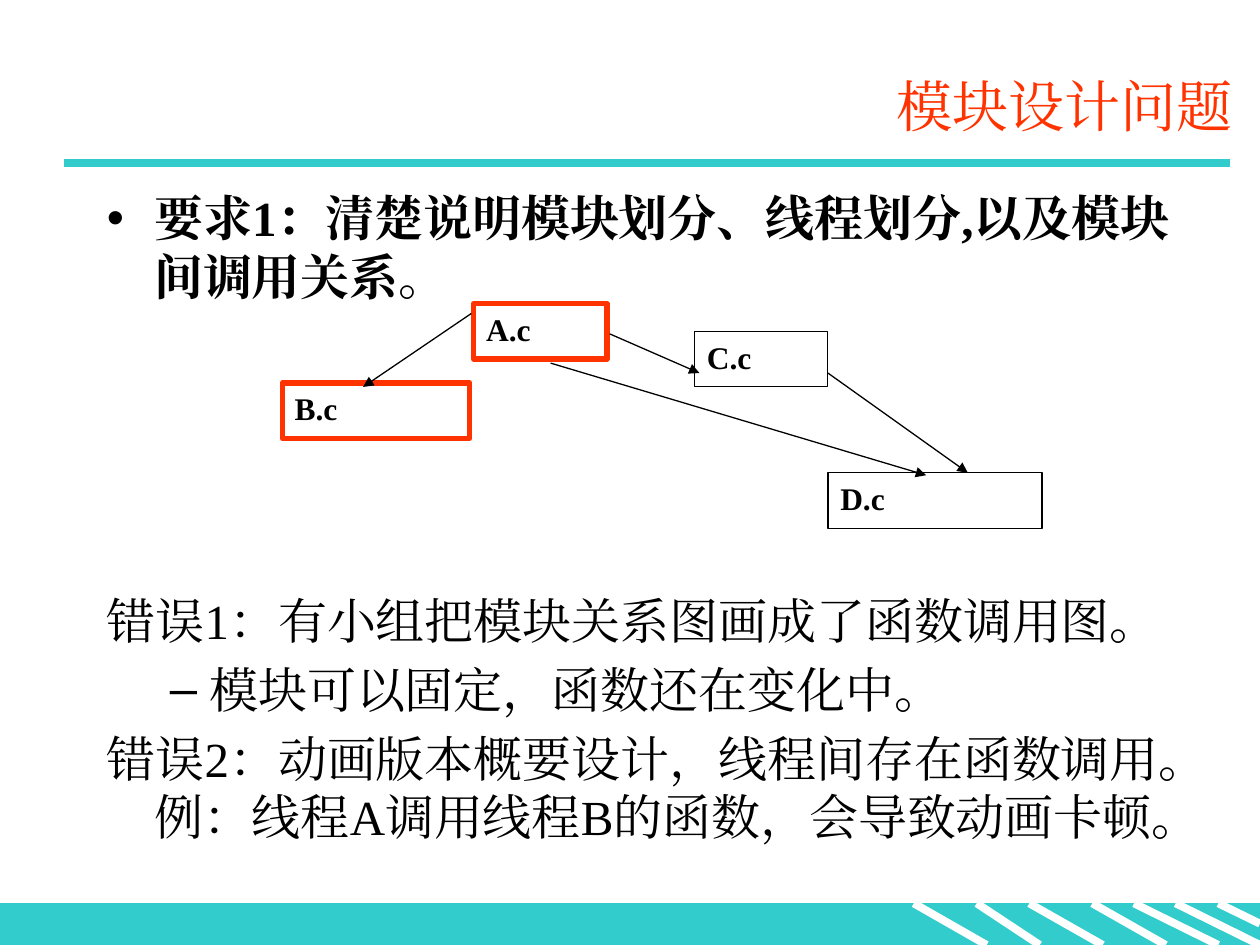
from lxml.etree import SubElement
from pptx import Presentation
from pptx.dml.color import RGBColor
from pptx.enum.shapes import MSO_CONNECTOR, MSO_SHAPE
from pptx.enum.text import MSO_ANCHOR, MSO_AUTO_SIZE, PP_ALIGN
from pptx.oxml.ns import qn
from pptx.util import Cm, Pt

FONT = "Times New Roman"
COLORS = {"teal": "33CCCC", "red": "FF3300", "black": "000000", "white": "FFFFFF"}

# Module boxes: label, left, top, width, outline colour, outline points, filled
MODULES = [
    ("A.c", 9.55, 6.12, 2.69, "red", 3, False),
    ("C.c", 14, 6.68, 2.69, "black", 0.75, True),
    ("D.c", 16.69, 9.53, 4.32, "black", 0.75, True),
    ("B.c", 5.69, 7.72, 3.78, "red", 3, False),
]
CALLS = [
    (9.5, 6.32, 7.32, 7.8),      # A to B
    (12.29, 6.73, 14.1, 7.52),   # A to C
    (16.69, 7.52, 19.51, 9.53),  # C to D
    (11.1, 7.32, 18.67, 9.58),   # A to D
]
FOOTER_TOP, FOOTER_BOTTOM = 18.21, 19.05
# Footer stripes: start x, end x, end y
STRIPES = [
    (18.42, 19.89, FOOTER_BOTTOM),
    (19.69, 20.96, FOOTER_BOTTOM),
    (20.75, 22.23, FOOTER_BOTTOM),
    (22.02, 23.5, FOOTER_BOTTOM),
    (22.86, 24.56, FOOTER_BOTTOM),
    (23.7, 25.4, FOOTER_BOTTOM),
    (24.56, 25.4, 18.62),
]
# Body paragraphs: level, bulleted, points before, runs of (text, bold)
BODY = [
    (0, True, 5.6, [("要求1：清楚说明模块划分、线程划分,以及模块间调用关系", True), ("。", False)]),
    (0, False, 163, [("错误1：有小组把模块关系图画成了函数调用图。", False)]),
    (1, True, 5.6, [("模块可以固定，函数还在变化中。", False)]),
    (0, False, 5.6, [("错误2：动画版本概要设计，线程间存在函数调用。"
                      "例：线程A调用线程B的函数，会导致动画卡顿。", False)]),
]


def color(name):
    return RGBColor.from_string(COLORS[name])


def place(shape, left, top, width, height):
    shape.left, shape.top = Cm(left), Cm(top)
    shape.width, shape.height = Cm(width), Cm(height)


def add_run(paragraph, text, size, color_name="black", bold=False):
    run = paragraph.add_run()
    run.text = text
    run.font.size = Pt(size)
    run.font.bold = bold
    run.font.color.rgb = color(color_name)
    run.font.name = FONT
    SubElement(run.font._element, qn("a:ea"), typeface=FONT)


def add_line(slide, x1, y1, x2, y2, color_name, points, arrow=False):
    line = slide.shapes.add_connector(
        MSO_CONNECTOR.STRAIGHT, Cm(x1), Cm(y1), Cm(x2), Cm(y2))
    line.line.color.rgb = color(color_name)
    line.line.width = Pt(points)
    if arrow:
        SubElement(line.line._get_or_add_ln(), qn("a:tailEnd"), type="triangle")
    SubElement(line._element.spPr, qn("a:effectLst"))


def add_box(slide, left, top, width, height, outline, points, fill=None):
    box = slide.shapes.add_shape(
        MSO_SHAPE.RECTANGLE, Cm(left), Cm(top), Cm(width), Cm(height))
    box.shadow.inherit = False
    if fill:
        box.fill.solid()
        box.fill.fore_color.rgb = color(fill)
    else:
        box.fill.background()
    box.line.color.rgb = color(outline)
    box.line.width = Pt(points)
    return box


def add_module(slide, label, left, top, width, outline, points, filled):
    box = add_box(slide, left, top, width, 1.12, outline, points,
                  "white" if filled else None)
    box.text_frame.vertical_anchor = MSO_ANCHOR.TOP
    paragraph = box.text_frame.paragraphs[0]
    paragraph.alignment = PP_ALIGN.JUSTIFY
    add_run(paragraph, label, 18, bold=True)


def add_title(slide, text):
    title = slide.shapes.title
    place(title, 3.5, 1.12, 21.6, 2)
    title.text_frame.auto_size = MSO_AUTO_SIZE.NONE
    title.text_frame.vertical_anchor = MSO_ANCHOR.MIDDLE
    paragraph = title.text_frame.paragraphs[0]
    paragraph.alignment = PP_ALIGN.RIGHT
    add_run(paragraph, text, 32, "red")


def add_body(slide):
    body = slide.placeholders[1]
    place(body, 1.9, 3.66, 22.81, 14.07)
    frame = body.text_frame
    frame.auto_size = MSO_AUTO_SIZE.NONE
    for index, (level, bulleted, before, runs) in enumerate(BODY):
        paragraph = frame.add_paragraph() if index else frame.paragraphs[0]
        paragraph.level = level
        paragraph.space_before = Pt(before)
        if not bulleted:
            SubElement(paragraph._p.get_or_add_pPr(), qn("a:buNone"))
        for text, bold in runs:
            add_run(paragraph, text, 28, bold=bold)


def add_footer(slide):
    add_box(slide, 0, FOOTER_TOP, 25.4, FOOTER_BOTTOM - FOOTER_TOP,
            "teal", 0.75, "teal")
    for start, end, bottom in STRIPES:
        add_line(slide, start, FOOTER_TOP, end, bottom, "white", 4.5)


def main():
    presentation = Presentation()
    presentation.slide_width, presentation.slide_height = Cm(25.4), Cm(19.05)
    slide = presentation.slides.add_slide(presentation.slide_layouts[1])

    # Frame: footer band and rule under the title
    add_footer(slide)
    add_line(slide, 1.3, 3.28, 24.79, 3.28, "teal", 4.5)

    # Text
    add_title(slide, "模块设计问题")
    add_body(slide)

    # Module call diagram
    for module in MODULES:
        add_module(slide, *module)
    for call in CALLS:
        add_line(slide, *call, "black", 0.75, arrow=True)

    presentation.save("out.pptx")


if __name__ == "__main__":
    main()
